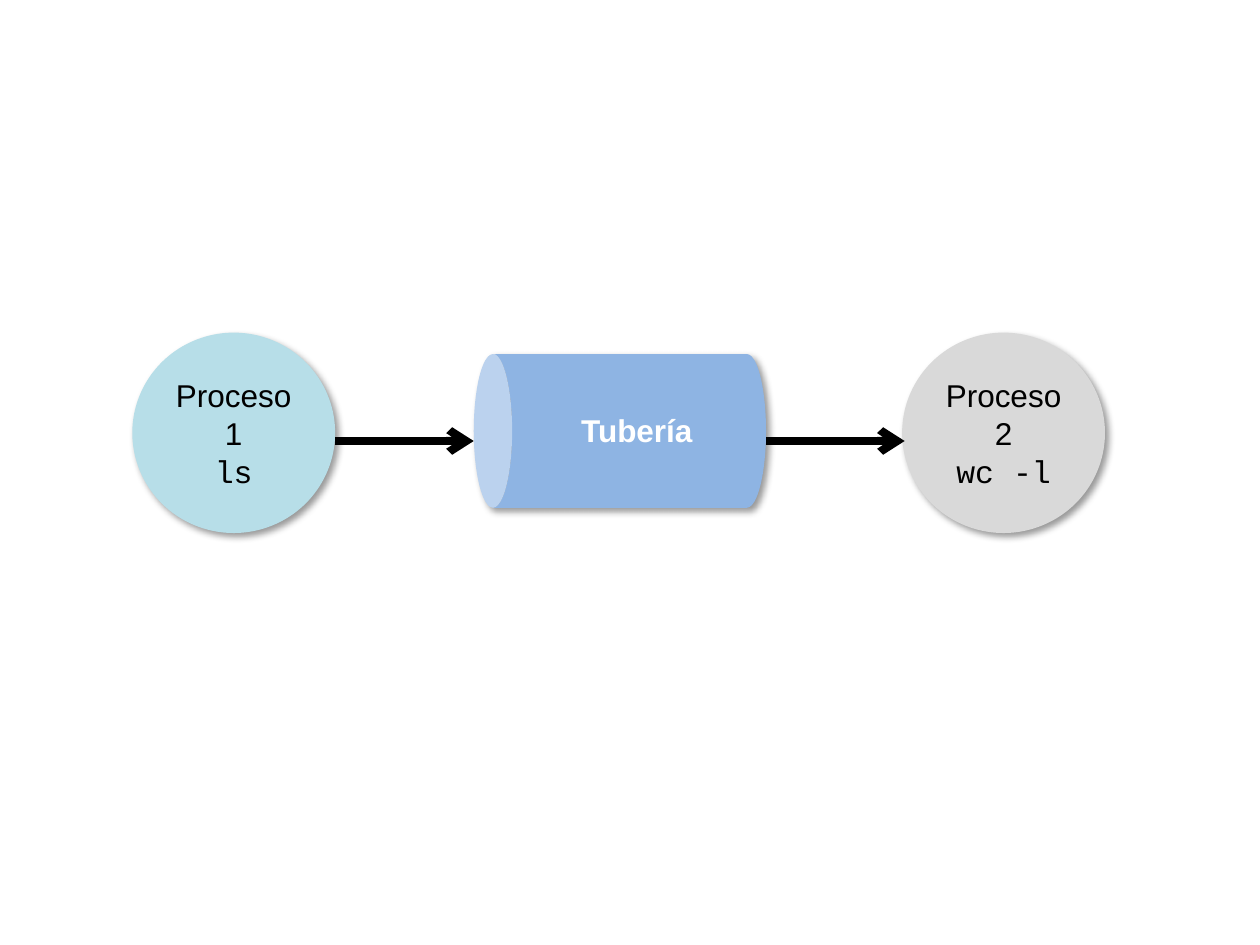
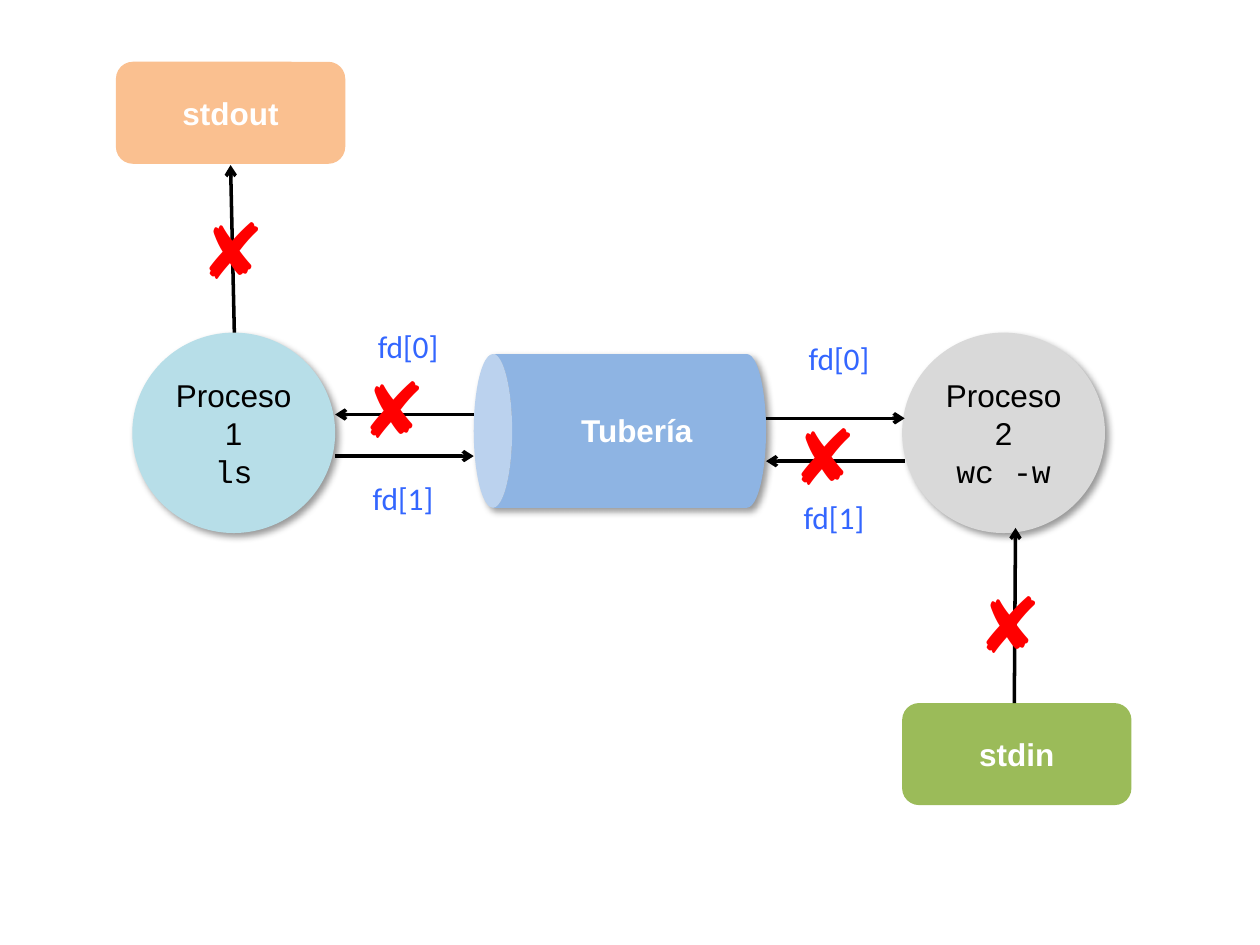
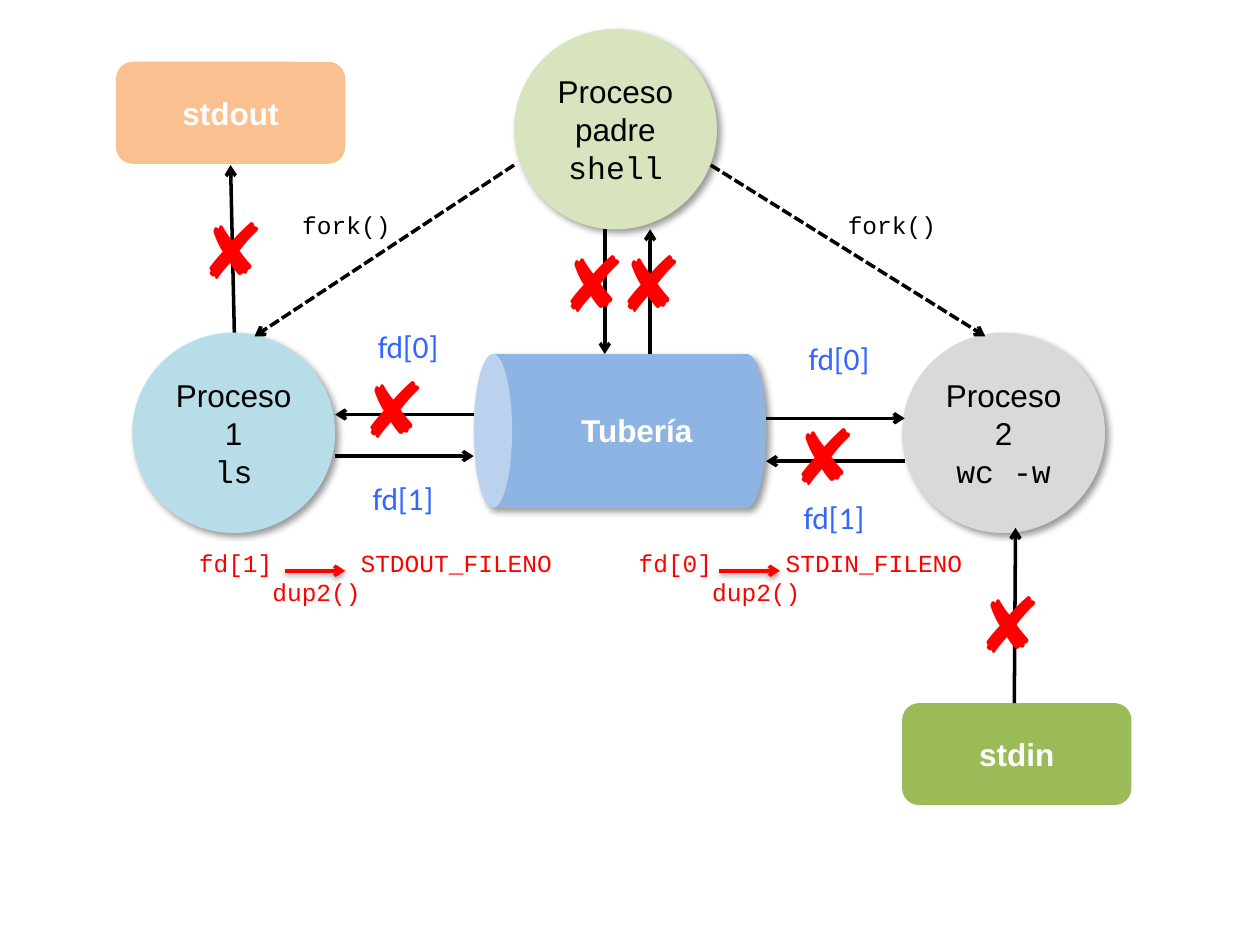
import pptx
import pptx.util
import pptx.dml.color
import pptx.enum.dml
import pptx.enum.shapes
import pptx.enum.text
import pptx.oxml.ns
from lxml import etree

Inches = pptx.util.Inches
Pt = pptx.util.Pt
RGBColor = pptx.dml.color.RGBColor
SHAPES = pptx.enum.shapes.MSO_SHAPE
qn = pptx.oxml.ns.qn

BLACK = RGBColor(0x00, 0x00, 0x00)
WHITE = RGBColor(0xFF, 0xFF, 0xFF)
RED = RGBColor(0xFF, 0x00, 0x00)
LABEL_BLUE = RGBColor(0x33, 0x66, 0xFF)
WRITER_BLUE = RGBColor(0xB7, 0xDE, 0xE8)
READER_GREY = RGBColor(0xD9, 0xD9, 0xD9)
PARENT_GREEN = RGBColor(0xD7, 0xE4, 0xBD)
PIPE_BLUE = RGBColor(0x8E, 0xB4, 0xE3)
STDOUT_ORANGE = RGBColor(0xFA, 0xC0, 0x90)
STDIN_GREEN = RGBColor(0x9B, 0xBB, 0x59)

SANS, LABEL_FONT, MONO = "Arial", "Calibri", "Courier New"

PROCESS_W, PROCESS_H = 1.61, 1.59
STREAM_W, STREAM_H = 1.82, 0.81
PIPE_W, PIPE_H = 2.32, 1.22
GAP = 1.1  # between a process and the pipe
ROW_LEFT, ROW_TOP = 1.05, 2.64
PIPE_LEFT = ROW_LEFT + PROCESS_W + GAP
READER_LEFT = 7.16
CODE_CHAR = 14 * 0.6 / 72  # width in inches of a 14 pt monospaced character


def set_shadow(effects, alpha, blur, distance, angle):
    """Put a soft black shadow in an effect list."""
    shadow = etree.SubElement(
        effects, qn("a:outerShdw"), blurRad=str(Pt(blur)), dist=str(Pt(distance)),
        dir=str(angle * 60000), algn="tl", rotWithShape="0")
    color = etree.SubElement(shadow, qn("a:srgbClr"), val="000000")
    etree.SubElement(color, qn("a:alpha"), val=str(alpha * 1000))


def format_paragraph(paragraph, text, size, font, color, bold=False, align=None):
    """Write one paragraph and format its runs."""
    paragraph.text = text
    paragraph.alignment = align
    for run in paragraph.runs:
        run.font.size = Pt(size)
        run.font.name = font
        run.font.bold = bold
        run.font.color.rgb = color


def add_solid(slide, kind, left, top, width, height, fill, shadow=True):
    """Add a borderless filled shape, with a soft shadow if wanted."""
    solid = slide.shapes.add_shape(
        kind, Inches(left), Inches(top), Inches(width), Inches(height))
    solid.fill.solid()
    solid.fill.fore_color.rgb = fill
    solid.line.fill.background()
    solid.shadow.inherit = False
    if shadow:
        set_shadow(solid._element.spPr.find(qn("a:effectLst")), 40, 4, 3, 45)
    return solid


def add_label(slide, left, top, width, height, text, size, font, color,
              bold=False, align=None):
    """Add a wrapped one-paragraph text box."""
    label = slide.shapes.add_textbox(
        Inches(left), Inches(top), Inches(width), Inches(height))
    label.text_frame.word_wrap = True
    format_paragraph(label.text_frame.paragraphs[0], text, size, font, color, bold, align)
    return label


def add_arrow(slide, start, end, color=BLACK, width=2, dashed=False, shadow=False):
    """Add a straight arrow from start to end."""
    arrow = slide.shapes.add_connector(
        pptx.enum.shapes.MSO_CONNECTOR.STRAIGHT,
        *(Inches(value) for value in (*start, *end)))
    arrow.line.color.rgb = color
    arrow.line.width = Pt(width)
    if dashed:
        arrow.line.dash_style = pptx.enum.dml.MSO_LINE.SQUARE_DOT
    properties = arrow._element.spPr
    etree.SubElement(properties.find(qn("a:ln")), qn("a:tailEnd"), type="arrow")
    effects = etree.SubElement(properties, qn("a:effectLst"))
    if shadow:
        set_shadow(effects, 38, 3.1, 1.6, 90)


def add_cross(slide, left, top):
    """Mark a closed descriptor with a red cross."""
    add_label(slide, left, top, 0.88, 0.84, "✘", 44, LABEL_FONT, RED)


def add_process(slide, left, top, name, command, fill):
    """Draw a process circle with its name above its command."""
    circle = add_solid(slide, SHAPES.OVAL, left, top, PROCESS_W, PROCESS_H, fill)
    frame = circle.text_frame
    frame.vertical_anchor = pptx.enum.text.MSO_ANCHOR.MIDDLE
    center = pptx.enum.text.PP_ALIGN.CENTER
    format_paragraph(frame.paragraphs[0], name, 18, SANS, BLACK, align=center)
    format_paragraph(frame.add_paragraph(), command, 18, MONO, BLACK, align=center)


def add_pipe(slide, left, top):
    """Draw the pipe: a can lying on its side, with its label."""
    turn = (PIPE_W - PIPE_H) / 2
    can = add_solid(slide, SHAPES.CAN, left + turn, top - turn, PIPE_H, PIPE_W, PIPE_BLUE)
    can.rotation = 270
    add_label(slide, left + 0.73, top + 0.4, 1.13, 0.71, "Tubería", 18, SANS, WHITE,
              bold=True, align=pptx.enum.text.PP_ALIGN.CENTER)


def add_stream(slide, left, top, name, fill):
    """Draw a standard stream as a rounded box."""
    stream = add_solid(slide, SHAPES.ROUNDED_RECTANGLE, left, top, STREAM_W, STREAM_H,
                       fill, shadow=False)
    frame = stream.text_frame
    frame.vertical_anchor = pptx.enum.text.MSO_ANCHOR.MIDDLE
    format_paragraph(frame.paragraphs[0], name, 18, SANS, WHITE, True,
                     pptx.enum.text.PP_ALIGN.CENTER)


def add_pipeline_row(slide, left, top, reader_command):
    """Draw both processes with the pipe between them."""
    add_process(slide, left, top, "Proceso 1", "ls", WRITER_BLUE)
    add_process(slide, left + READER_LEFT - ROW_LEFT, top, "Proceso 2", reader_command,
                READER_GREY)
    add_pipe(slide, left + PROCESS_W + GAP, top + 0.17)


def add_descriptors(slide, left, read_y, write_y, read_label_top, write_label_top,
                    writer_side):
    """Draw the fd[0] and fd[1] arrows in one gap, crossing out the unused end."""
    right = left + GAP
    read_from, read_to = (right, left) if writer_side else (left, right)
    add_arrow(slide, (read_from, read_y), (read_to, read_y))
    add_arrow(slide, (read_to, write_y), (read_from, write_y))
    for name, offset, top in (("fd[0]", 0.24, read_label_top),
                              ("fd[1]", 0.2, write_label_top)):
        add_label(slide, left + offset, top, 0.82, 0.4, name, 18, LABEL_FONT, LABEL_BLUE)
    add_cross(slide, left + 0.11, (read_y if writer_side else write_y) - 0.47)


def add_redirected_pipeline(slide):
    """Draw the pipeline with its descriptors and closed standard streams."""
    add_pipeline_row(slide, ROW_LEFT, ROW_TOP, "wc -w")
    add_stream(slide, 0.92, 0.49, "stdout", STDOUT_ORANGE)
    add_arrow(slide, (1.86, ROW_TOP), (1.83, 1.31))
    add_cross(slide, 1.49, 1.56)
    add_stream(slide, READER_LEFT, 5.58, "stdin", STDIN_GREEN)
    add_arrow(slide, (8.05, 5.58), (8.06, 4.19))
    add_cross(slide, 7.66, 4.53)
    add_descriptors(slide, PIPE_LEFT - GAP, 3.29, 3.62, 2.55, 3.75, writer_side=True)
    add_descriptors(slide, PIPE_LEFT + PIPE_W, 3.32, 3.66, 2.64, 3.9, writer_side=False)


def add_parent(slide, left, top):
    """Draw the parent shell, its closed pipe ends and its two forks."""
    add_process(slide, left, top, "Proceso padre", "shell", PARENT_GREEN)
    bottom, pipe_top = top + PROCESS_H, ROW_TOP + 0.17
    add_arrow(slide, (left + 0.72, bottom), (left + 0.72, pipe_top))
    add_arrow(slide, (left + 1.08, pipe_top), (left + 1.08, bottom))
    for offset in (0.28, 0.73):
        add_cross(slide, left + offset, bottom)
    for start_x, end_x, label_left in ((left + 1.56, 7.82, 6.63), (left, 2.02, 2.3)):
        add_arrow(slide, (start_x, top + 1.08), (end_x, ROW_TOP + 0.03), dashed=True)
        add_label(slide, label_left, 1.62, 1.09, 0.34, "fork()", 14, MONO, BLACK)


def add_dup2(slide, left, top, descriptor, target, target_column, arrow_offset):
    """Show dup2() turning a descriptor into a standard stream number."""
    note = add_label(slide, left, top, 3.32, 0.57, f"{descriptor}\t{target}", 14, MONO, RED)
    first = note.text_frame.paragraphs[0]
    tabs = etree.SubElement(first._p.get_or_add_pPr(), qn("a:tabLst"))
    etree.SubElement(tabs, qn("a:tab"), pos=str(Inches(target_column * CODE_CHAR)), algn="l")
    call = note.text_frame.add_paragraph()
    format_paragraph(call, "dup2()", 14, MONO, RED)
    call._p.get_or_add_pPr().set("marL", str(Inches(5 * CODE_CHAR)))
    start, y = left + arrow_offset, top + 0.23
    add_arrow(slide, (start, y), (start + 0.48, y), RED, shadow=True)


def build_simple_pipe(slide):
    """Slide 1: data flows from one process to the other through the pipe."""
    add_pipeline_row(slide, ROW_LEFT, ROW_TOP, "wc -l")
    for left in (PIPE_LEFT - GAP, PIPE_LEFT + PIPE_W):
        add_arrow(slide, (left, 3.5), (left + GAP, 3.5), width=4.5)


def build_descriptors(slide):
    """Slide 2: the open and closed descriptors of both processes."""
    add_redirected_pipeline(slide)


def build_fork(slide):
    """Slide 3: the parent shell forks both processes, which call dup2()."""
    add_redirected_pipeline(slide)
    add_parent(slide, 4.08, 0.23)
    add_dup2(slide, 1.48, 4.3, "fd[1]", "STDOUT_FILENO", 11, 0.78)
    add_dup2(slide, 4.97, 4.3, "fd[0]", "STDIN_FILENO", 10, 0.74)


deck = pptx.Presentation()
deck.slide_width, deck.slide_height = Inches(10), Inches(7.5)
blank_layout = deck.slide_layouts[6]
for build in (build_simple_pipe, build_descriptors, build_fork):
    build(deck.slides.add_slide(blank_layout))
deck.save("out.pptx")
